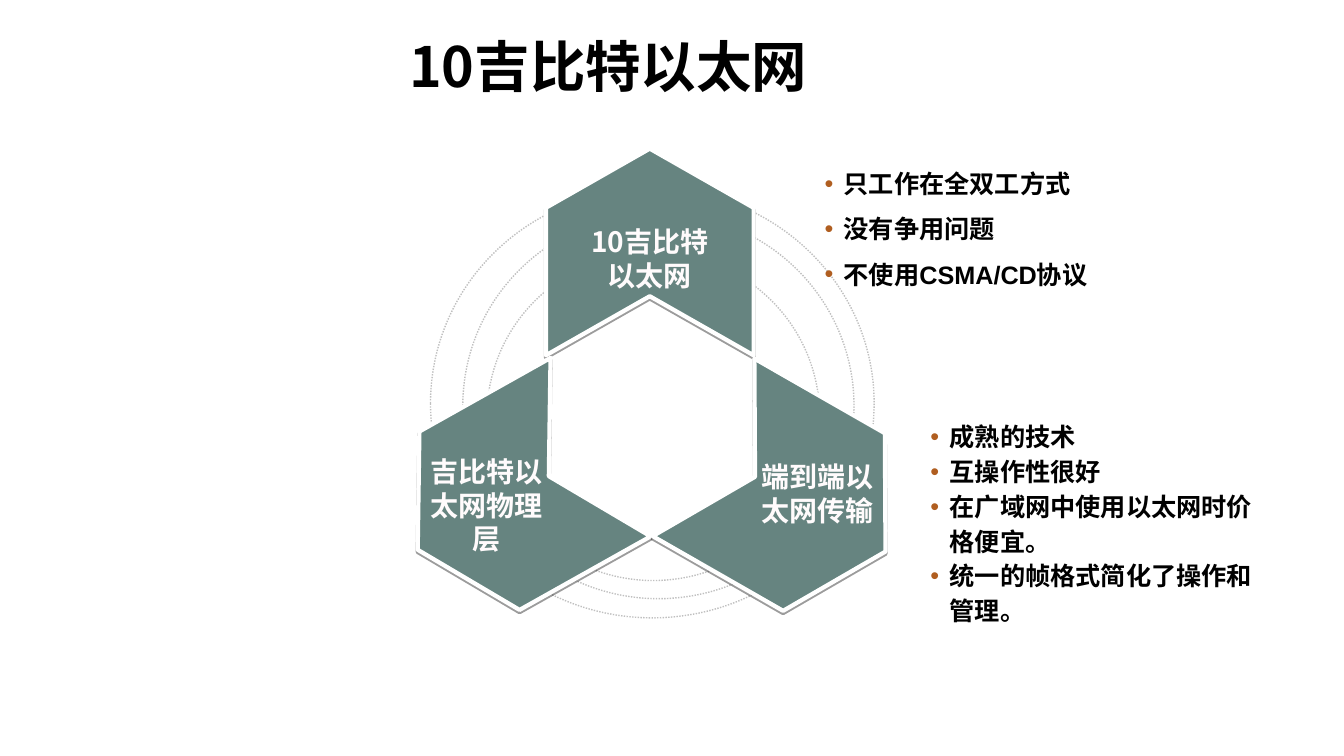
from dataclasses import dataclass

from lxml import etree
from pptx import Presentation
from pptx.dml.color import RGBColor
from pptx.enum.dml import MSO_LINE
from pptx.enum.shapes import MSO_SHAPE
from pptx.enum.text import MSO_ANCHOR, MSO_AUTO_SIZE, PP_ALIGN
from pptx.oxml.ns import qn
from pptx.util import Inches, Pt

ELLIPSE, CHEVRON = MSO_SHAPE.OVAL, MSO_SHAPE.CHEVRON
DOTTED = MSO_LINE.ROUND_DOT
MIDDLE, TOP = MSO_ANCHOR.MIDDLE, MSO_ANCHOR.TOP
CENTER, LEFT = PP_ALIGN.CENTER, PP_ALIGN.LEFT
GROW, FIXED = MSO_AUTO_SIZE.SHAPE_TO_FIT_TEXT, MSO_AUTO_SIZE.NONE


@dataclass(frozen=True)
class Theme:
    teal: str = "668480"
    white: str = "FFFFFF"
    label: str = "FFFBFC"
    ring: str = "C0C0C0"
    bullet: str = "B05E20"
    ink: str = "000000"
    latin: str = "Arial"
    chinese: str = "Noto Sans CJK SC"
    title_size: float = 39.6
    label_size: float = 20
    list_size: float = 18


THEME = Theme()


def rgb(value):
    return RGBColor.from_string(value)


def apply(target, formats):
    for name, value in formats.items():
        setattr(target, name, value)


def add_child(parent, tag, **attributes):
    return etree.SubElement(parent, qn(tag), attributes)


def add_bullet(paragraph):
    properties = paragraph._p.get_or_add_pPr()
    apply_indent = {"marL": str(Inches(0.19)), "indent": str(-Inches(0.19))}
    for name, value in apply_indent.items():
        properties.set(name, value)
    color = add_child(properties, "a:buClr")
    add_child(color, "a:srgbClr", val=THEME.bullet)
    add_child(properties, "a:buFont", typeface=THEME.latin)
    add_child(properties, "a:buChar", char="•")


def add_text(slide, box, lines, size, color, font=THEME.latin, align=LEFT,
             anchor=TOP, fit=GROW, spacing=1.0, bulleted=False):
    shape = slide.shapes.add_textbox(*map(Inches, box))
    frame = shape.text_frame
    apply(frame, {"word_wrap": True, "auto_size": fit, "vertical_anchor": anchor})
    for index, line in enumerate(lines):
        paragraph = frame.paragraphs[0] if index == 0 else frame.add_paragraph()
        if bulleted:
            add_bullet(paragraph)
        apply(paragraph, {"alignment": align, "line_spacing": spacing})
        run = paragraph.add_run()
        run.text = line
        apply(run.font, {"size": Pt(size), "bold": True, "name": font})
        run.font.color.rgb = rgb(color)
        add_child(run._r.get_or_add_rPr(), "a:ea", typeface=THEME.chinese)


def add_shadow(shape):
    shape.shadow.inherit = False
    effects = shape._element.spPr.find(qn("a:effectLst"))
    shadow = add_child(effects, "a:outerShdw", blurRad="0", dist=str(Pt(1.6)),
                       dir="5400000", algn="t", rotWithShape="0")
    color = add_child(shadow, "a:srgbClr", val=THEME.ink)
    add_child(color, "a:alpha", val="38000")


def add_rings(slide, boxes):
    for box in boxes:
        ring = slide.shapes.add_shape(ELLIPSE, *map(Inches, box))
        ring.shadow.inherit = False
        ring.fill.background()
        ring.line.color.rgb = rgb(THEME.ring)
        apply(ring.line, {"width": Pt(1), "dash_style": DOTTED})


def add_segment(slide, box, rotation, notch, label_offset, label_size, lines, font):
    """Place a turned chevron in its box, with its label offset from the corner."""
    segment = slide.shapes.add_shape(CHEVRON, *map(Inches, box))
    segment.rotation = rotation
    segment.adjustments[0] = notch
    segment.fill.solid()
    segment.fill.fore_color.rgb = rgb(THEME.teal)
    segment.line.color.rgb = rgb(THEME.white)
    segment.line.width = Pt(3)
    add_shadow(segment)
    label_box = (box[0] + label_offset[0], box[1] + label_offset[1], *label_size)
    add_text(slide, label_box, lines, THEME.label_size, THEME.label, font, CENTER)


def add_list(slide, box, lines, spacing):
    add_text(slide, box, lines, THEME.list_size, THEME.ink,
             spacing=spacing, bulleted=True)


def add_title(slide, box, text):
    add_text(slide, box, [text], THEME.title_size, THEME.ink, THEME.chinese,
             anchor=MIDDLE, fit=FIXED, spacing=0.9)


def build_slide(presentation):
    slide = presentation.slides.add_slide(presentation.slide_layouts[6])

    # Dotted rings behind the diagram
    add_rings(slide, [(4.27, 1.87, 4.4, 4.26), (4.59, 2.11, 3.88, 3.83),
                      (4.83, 2.5, 3.3, 3.26)])

    # Three segments: top, lower left, lower right
    segments = [
        ((5.42, 1.47, 2.05, 2.06), 270, 0.286, (-0.11, 0.71), (2.27, 0.77),
         ["10吉比特", "以太网"], THEME.chinese),
        ((4.01, 3.93, 2.08, 2.03), 150.7, 0.29, (0.06, 0.53), (1.51, 1.1),
         ["吉比特以太网物理层"], THEME.latin),
        ((6.84, 3.94, 2.08, 2.03), 29.8, 0.29, (0.54, 0.57), (1.45, 0.77),
         ["端到端以太网传输"], THEME.latin),
    ]
    for segment in segments:
        add_segment(slide, *segment)

    # Bulleted notes on the right
    add_list(slide, (8.08, 1.47, 4.18, 1.45),
             ["只工作在全双工方式", "没有争用问题", "不使用CSMA/CD协议"], 1.5)
    add_list(slide, (9.13, 4.09, 3.6, 2.17),
             ["成熟的技术", "互操作性很好", "在广域网中使用以太网时价格便宜。",
              "统一的帧格式简化了操作和管理。"], 1.15)

    # Title
    add_title(slide, (3.96, 0.36, 6.03, 0.67), "10吉比特以太网")


def main():
    presentation = Presentation()
    apply(presentation, {"slide_width": Inches(13.33), "slide_height": Inches(7.5)})
    build_slide(presentation)
    presentation.save("out.pptx")


if __name__ == "__main__":
    main()
